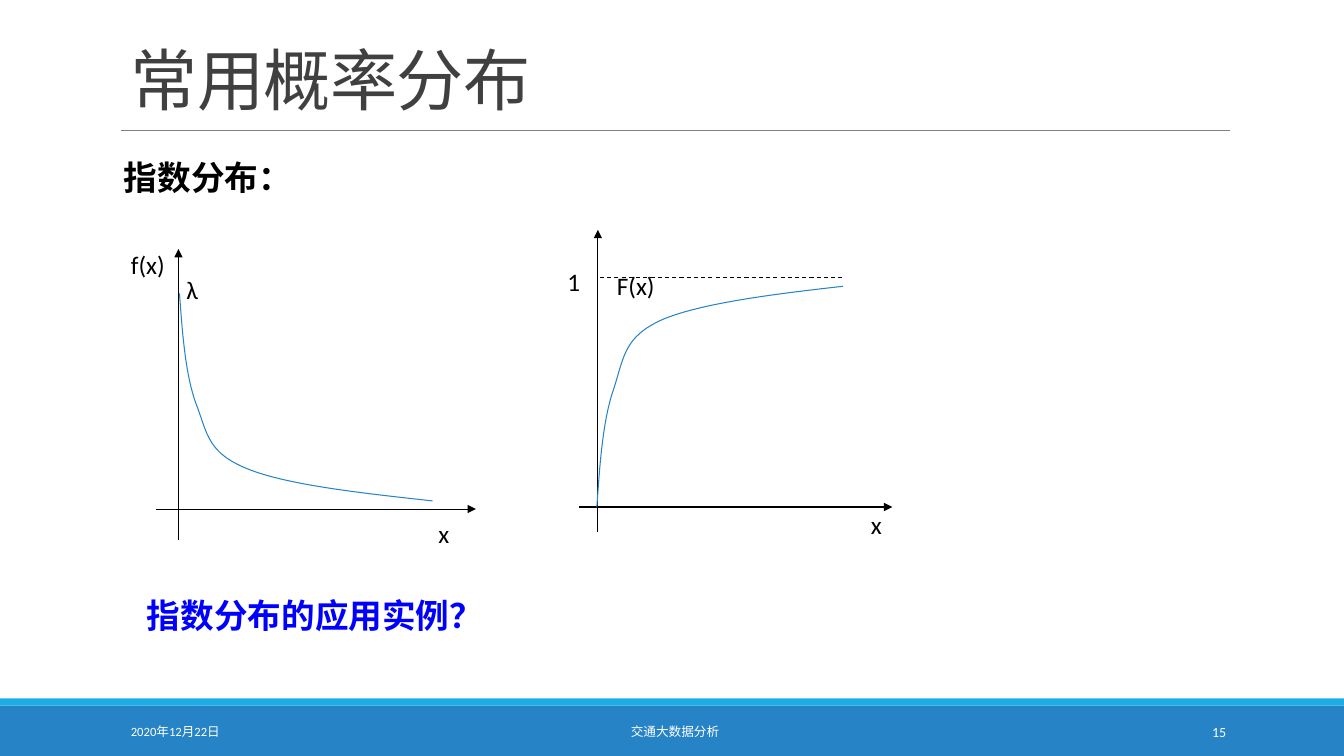
from pptx import Presentation
from pptx.dml.color import RGBColor
from pptx.enum.dml import MSO_LINE
from pptx.enum.shapes import MSO_CONNECTOR, MSO_SHAPE
from pptx.enum.text import MSO_ANCHOR, MSO_AUTO_SIZE, PP_ALIGN
from pptx.oxml.ns import qn
from pptx.util import Inches, Pt
from lxml.etree import SubElement

FONT = "Calibri"
BLACK, WHITE, GREY = "000000", "FFFFFF", "808080"
BLUE, CYAN, DARK, QUESTION = "2683C6", "1CADE4", "404040", "0000FF"


def color(value):
    return RGBColor.from_string(value)


class SlideBuilder:
    """Draws styled elements on one slide; all lengths are in inches."""

    def __init__(self, slide):
        self.slide = slide

    def bar(self, top, height, fill):
        shape = self.slide.shapes.add_shape(
            MSO_SHAPE.RECTANGLE, 0, Inches(top), Inches(13.33), Inches(height))
        shape.shadow.inherit = False
        shape.fill.solid()
        shape.fill.fore_color.rgb = color(fill)
        shape.line.fill.background()

    def text(self, box, content, size, fill=BLACK, bold=False, wrap=True, grow=True,
             align=PP_ALIGN.LEFT, anchor=MSO_ANCHOR.TOP, line_spacing=None, tracking=None):
        shape = self.slide.shapes.add_textbox(*map(Inches, box))
        frame = shape.text_frame
        frame.word_wrap = wrap
        frame.auto_size = MSO_AUTO_SIZE.SHAPE_TO_FIT_TEXT if grow else MSO_AUTO_SIZE.NONE
        frame.vertical_anchor = anchor
        paragraph = frame.paragraphs[0]
        paragraph.alignment = align
        if line_spacing:
            paragraph.line_spacing = line_spacing
        run = paragraph.add_run()
        run.text = content
        run.font.name = FONT
        run.font.size = Pt(size)
        run.font.bold = bold
        run.font.color.rgb = color(fill)
        if tracking:
            run.font._element.set("spc", str(int(tracking * 100)))

    def label(self, left, top, width, content):
        self.text((left, top, width, 0.4), content, 18, wrap=False)

    def footer(self, left, width, content, size, align):
        self.text((left, 7.06, width, 0.4), content, size, WHITE,
                  grow=False, align=align, anchor=MSO_ANCHOR.MIDDLE)

    def line(self, start, end, stroke=BLACK, width=0.75, arrow=False, dashed=False):
        connector = self.slide.shapes.add_connector(
            MSO_CONNECTOR.STRAIGHT, *map(Inches, (*start, *end)))
        connector.line.color.rgb = color(stroke)
        connector.line.width = Pt(width)
        if dashed:
            connector.line.dash_style = MSO_LINE.DASH
        if arrow:
            SubElement(connector.line._get_or_add_ln(), qn("a:tailEnd"), type="triangle")
        SubElement(connector._element.spPr, qn("a:effectLst"))

    def curve(self, points):
        """Draw a start point followed by control triples as cubic Bézier segments."""
        start, *controls = [(Inches(x), Inches(y)) for x, y in points]
        builder = self.slide.shapes.build_freeform(*start)
        builder.add_line_segments(controls, close=False)
        shape = builder.convert_to_shape()
        shape.shadow.inherit = False
        shape.fill.background()
        shape.line.color.rgb = color(BLUE)
        shape.line.width = Pt(0.75)
        outline = next(shape._element.iter(qn("a:path")))
        segments = outline.findall(qn("a:lnTo"))
        for first in range(0, len(segments), 3):
            bezier = SubElement(outline, qn("a:cubicBezTo"))
            for segment in segments[first:first + 3]:
                bezier.append(segment[0])
                outline.remove(segment)


def draw_density(builder):
    builder.line((1.55, 5.05), (4.72, 5.05), arrow=True)
    builder.line((1.77, 5.36), (1.77, 2.47), arrow=True)
    builder.curve([(1.78, 2.91), (1.81, 3.32), (1.84, 3.73), (1.95, 4.02),
                   (2.06, 4.31), (2.06, 4.49), (2.45, 4.65),
                   (2.84, 4.81), (3.56, 4.89), (4.29, 4.97)])
    builder.label(4.25, 5.09, 0.33, "x")
    builder.label(1.2, 2.42, 0.56, "f(x)")
    builder.label(1.75, 2.67, 0.34, "λ")


def draw_distribution(builder):
    builder.line((5.74, 5.03), (8.85, 5.03), arrow=True)
    builder.line((5.93, 5.28), (5.93, 2.28), arrow=True)
    builder.curve([(5.92, 5.03), (5.95, 4.59), (5.98, 4.16), (6.09, 3.85),
                   (6.19, 3.54), (6.19, 3.34), (6.57, 3.17),
                   (6.95, 3.01), (7.65, 2.92), (8.36, 2.84)])
    builder.line((5.95, 2.75), (8.37, 2.75), dashed=True)
    builder.label(8.54, 5, 0.33, "x")
    builder.label(6.02, 2.63, 0.58, "F(x)")
    builder.label(5.53, 2.59, 0.34, "1")


def main():
    presentation = Presentation()
    presentation.slide_width = Inches(13.33)
    presentation.slide_height = Inches(7.5)
    builder = SlideBuilder(presentation.slides.add_slide(presentation.slide_layouts[6]))

    builder.bar(7, 0.5, BLUE)
    builder.bar(6.93, 0.07, CYAN)
    builder.line((1.2, 1.29), (12.2, 1.29), GREY, 0.5)
    builder.text((1.2, 0.14, 11, 1.09), "常用概率分布", 48, DARK, grow=False,
                 anchor=MSO_ANCHOR.BOTTOM, line_spacing=0.85, tracking=-0.5)
    builder.footer(1.2, 2.7, "2020年12月22日", 9, PP_ALIGN.LEFT)
    builder.footer(4.06, 5.27, "交通大数据分析", 9, PP_ALIGN.CENTER)
    builder.footer(10.83, 1.43, "15", 10, PP_ALIGN.RIGHT)

    builder.text((1.13, 1.51, 8.92, 0.5), "指数分布：", 24, bold=True)
    draw_density(builder)
    draw_distribution(builder)
    builder.text((1.36, 5.85, 8.33, 0.5), "指数分布的应用实例？", 24, QUESTION, bold=True)
    presentation.save("out.pptx")


if __name__ == "__main__":
    main()
